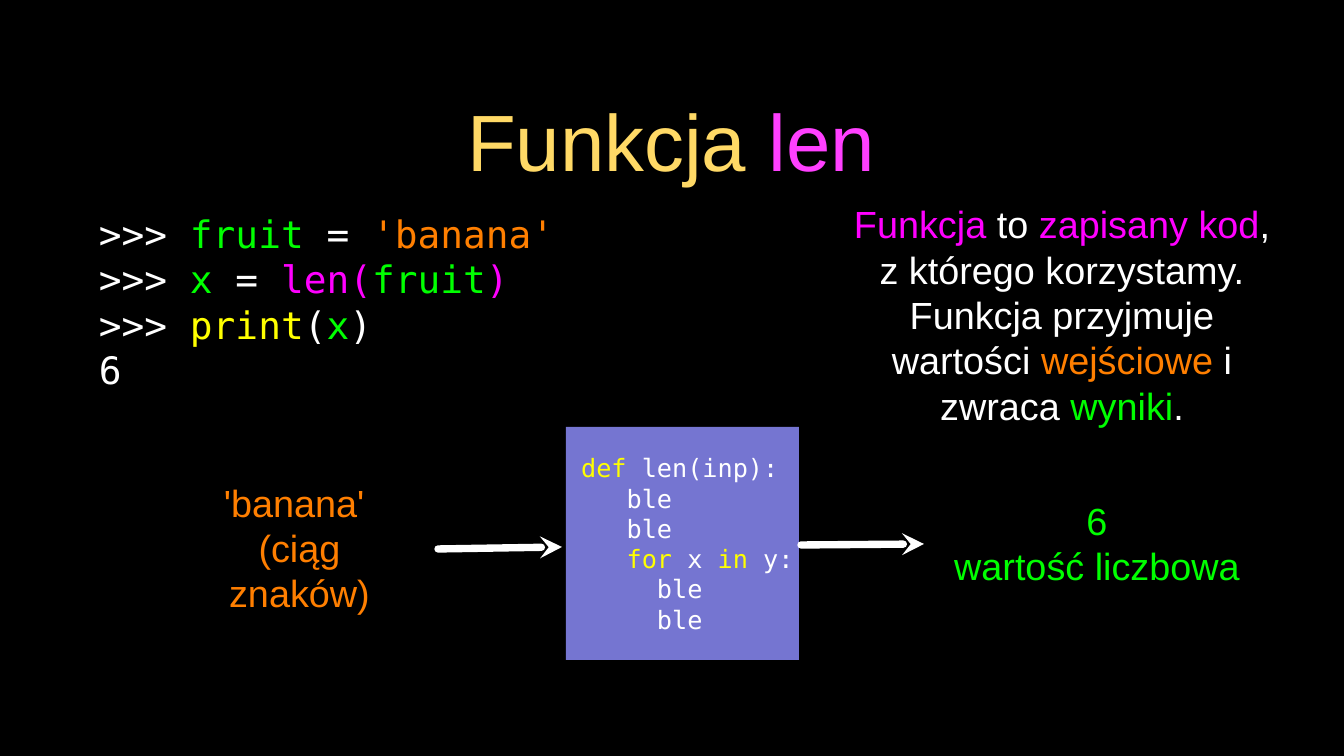
import pptx
import pptx.util
import pptx.dml.color
import pptx.enum.shapes
import pptx.enum.text
import lxml.etree

PX = 12095
SANS, MONO = "Arial", "DejaVu Sans Mono"
WHITE, GOLD, PINK = "FFFFFF", "FFD966", "FF40FF"
MAGENTA, ORANGE, GREEN, YELLOW = "FF00FF", "FF7F00", "00FF00", "FFFF00"
LEFT = pptx.enum.text.PP_ALIGN.LEFT
CENTER = pptx.enum.text.PP_ALIGN.CENTER


def color(code):
    return pptx.dml.color.RGBColor.from_string(code)


def write(shape, lines, size, font, align, pitch=None, inset=0, wrap=True):
    frame = shape.text_frame
    frame.word_wrap = wrap
    frame.auto_size = pptx.enum.text.MSO_AUTO_SIZE.NONE
    frame.vertical_anchor = pptx.enum.text.MSO_ANCHOR.MIDDLE
    frame.margin_left = frame.margin_right = inset * PX
    frame.margin_top = frame.margin_bottom = inset * PX
    for i, line in enumerate(lines):
        para = frame.paragraphs[0] if i == 0 else frame.add_paragraph()
        para.alignment = align
        if pitch:
            para.line_spacing = pptx.util.Pt(pitch)
        for text, code in line:
            run = para.add_run()
            run.text = text
            run.font.name = font
            run.font.size = pptx.util.Pt(size)
            run.font.color.rgb = color(code)


deck = pptx.Presentation()
deck.slide_width = 1344 * PX
deck.slide_height = 756 * PX
slide = deck.slides.add_slide(deck.slide_layouts[5])
slide.background.fill.solid()
slide.background.fill.fore_color.rgb = color("000000")

title = slide.shapes.title
title.left, title.top, title.width, title.height = [n * PX for n in (95, 69, 1152, 141)]
write(title, [[("Funkcja ", GOLD), ("len", PINK)]], 76, SANS, CENTER, inset=3)

square = slide.shapes.add_shape(
    pptx.enum.shapes.MSO_SHAPE.RECTANGLE, 566 * PX, 427 * PX, 233 * PX, 233 * PX)
square.shadow.inherit = False
square.fill.solid()
square.fill.fore_color.rgb = color("7575D1")
square.line.fill.background()
body = [
    [(" def", YELLOW), (" len(inp):", WHITE)],
    [("    ble", WHITE)],
    [("    ble", WHITE)],
    [("    for", YELLOW), (" x ", WHITE), ("in", YELLOW), (" y:", WHITE)],
    [("      ble", WHITE)],
    [("      ble", WHITE)],
]
write(square, body, 24, MONO, LEFT, 28.8, wrap=False)

for x1, y1, x2, y2 in [(438, 549, 562, 547), (801, 545, 924, 544)]:
    arrow = slide.shapes.add_connector(
        pptx.enum.shapes.MSO_CONNECTOR.STRAIGHT, x1 * PX, y1 * PX, x2 * PX, y2 * PX)
    arrow.line.color.rgb = color(WHITE)
    arrow.line.width = pptx.util.Pt(7)
    props = arrow.element.spPr
    line = props.find(pptx.oxml.ns.qn("a:ln"))
    line.set("cap", "rnd")
    tip = lxml.etree.SubElement(line, pptx.oxml.ns.qn("a:tailEnd"))
    tip.set("type", "stealth")
    lxml.etree.SubElement(props, pptx.oxml.ns.qn("a:effectLst"))

about = [[
    ("Funkcja", MAGENTA), (" to ", WHITE), ("zapisany kod", MAGENTA),
    (", z którego korzystamy. Funkcja przyjmuje wartości ", WHITE),
    ("wejściowe", ORANGE), (" i zwraca ", WHITE), ("wyniki", GREEN), (".", WHITE),
]]
shell = [
    [(">>> ", WHITE), ("fruit ", GREEN), ("=", WHITE), (" 'banana'", ORANGE)],
    [(">>> ", WHITE), ("x ", GREEN), ("= ", WHITE), ("len(", MAGENTA),
     ("fruit", GREEN), (")", MAGENTA)],
    [(">>> ", WHITE), ("print", YELLOW), ("(", WHITE), ("x", GREEN), (")", WHITE)],
    [("6", WHITE)],
]
given = [[("'banana' ", ORANGE)], [("(ciąg znaków)", ORANGE)]]
result = [[("6", GREEN)], [("wartość liczbowa", GREEN)]]

for place, lines, font, align in [
    ((850, 224, 424, 181), about, SANS, CENTER),
    ((99, 210, 466, 183), shell, MONO, LEFT),
    ((185, 502, 229, 91), given, SANS, CENTER),
    ((946, 496, 302, 94), result, SANS, CENTER),
]:
    box = slide.shapes.add_textbox(*[n * PX for n in place])
    write(box, lines, 36, font, align, 43.2)

deck.save("out.pptx")
